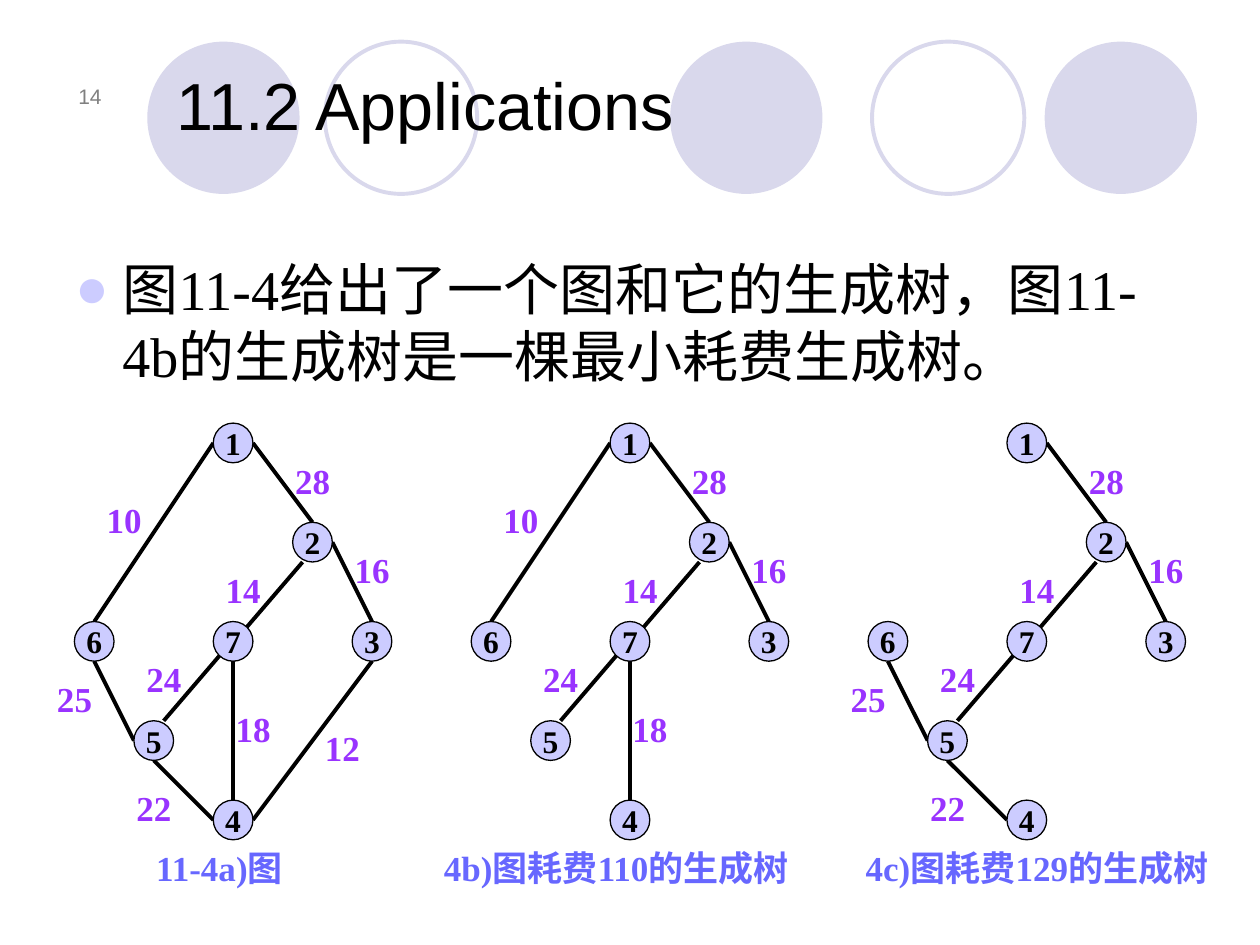
from dataclasses import dataclass
from typing import NamedTuple

from lxml import etree
from pptx import Presentation
from pptx.dml.color import RGBColor
from pptx.enum.shapes import MSO_CONNECTOR, MSO_SHAPE
from pptx.enum.text import MSO_ANCHOR, MSO_AUTO_SIZE, PP_ALIGN
from pptx.oxml.ns import qn
from pptx.slide import Slide
from pptx.text.text import TextFrame
from pptx.util import Cm, Pt

OVAL = MSO_SHAPE.OVAL
STRAIGHT = MSO_CONNECTOR.STRAIGHT
TOP, MIDDLE, BOTTOM = MSO_ANCHOR.TOP, MSO_ANCHOR.MIDDLE, MSO_ANCHOR.BOTTOM
LEFT, CENTER, RIGHT = PP_ALIGN.LEFT, PP_ALIGN.CENTER, PP_ALIGN.RIGHT
GROW = MSO_AUTO_SIZE.SHAPE_TO_FIT_TEXT


class TextStyle(NamedTuple):
    size: float
    font: str
    color: str
    bold: bool = False


@dataclass(frozen=True)
class Theme:
    ring: str = "D9D8EC"
    node_fill: str = "CCCCFF"
    ink: str = "000000"
    outline: float = 0.75
    stroke: float = 2.25
    number: TextStyle = TextStyle(12, "Arial", "808080")
    title: TextStyle = TextStyle(38, "Arial", "000000")
    body: TextStyle = TextStyle(32, "Times New Roman", "000000")
    node: TextStyle = TextStyle(18, "Times New Roman", "000000", True)
    weight: TextStyle = TextStyle(20, "Times New Roman", "9933FF", True)
    caption: TextStyle = TextStyle(20, "Times New Roman", "6767FF", True)


class Point(NamedTuple):
    x: float
    y: float


class Box(NamedTuple):
    left: float
    top: float
    width: float
    height: float


class Circle(NamedTuple):
    left: float
    filled: bool


class Edge(NamedTuple):
    start: int
    start_at: Point
    end: int
    end_at: Point
    label_at: Point


class Graph(NamedTuple):
    weights: tuple[int, ...]
    caption: str
    caption_left: float
    caption_width: float


THEME = Theme()
CIRCLE_TOP, CIRCLE_SIZE = 0.84, 3.07
NODE_SIZE, GRAPH_STEP = 0.8, 8.0
LABEL_WIDTH, LABEL_HEIGHT, CAPTION_TOP = 1.4, 1.1, 16.93
INDENT = 0.95

CIRCLES = (
    Circle(2.97, True), Circle(6.55, False), Circle(13.51, True),
    Circle(17.58, False), Circle(21.06, True),
)
NODES = {
    1: Point(4.3, 8.53), 2: Point(5.9, 10.53), 3: Point(7.1, 12.53),
    4: Point(4.3, 16.13), 5: Point(2.7, 14.53), 6: Point(1.5, 12.53),
    7: Point(4.3, 12.53),
}
NORTH, WEST, SOUTH, EAST = Point(0.5, 0), Point(0, 0.5), Point(0.5, 1), Point(1, 0.5)
EDGES = {
    10: Edge(1, WEST, 6, NORTH, Point(1.9, 9.93)),
    28: Edge(1, EAST, 2, NORTH, Point(5.7, 9.13)),
    16: Edge(3, NORTH, 2, EAST, Point(6.9, 10.93)),
    14: Edge(7, Point(0.75, 0.25), 2, Point(0.25, 1), Point(4.3, 11.33)),
    24: Edge(5, Point(0.75, 0), 7, Point(0.25, 0.75), Point(2.7, 13.13)),
    18: Edge(7, SOUTH, 4, NORTH, Point(4.5, 14.13)),
    25: Edge(5, WEST, 6, SOUTH, Point(0.9, 13.53)),
    22: Edge(4, WEST, 5, SOUTH, Point(2.5, 15.73)),
    12: Edge(4, EAST, 3, SOUTH, Point(6.3, 14.53)),
}
GRAPHS = (
    Graph(tuple(EDGES), "11-4a)图", 2.9, 3.6),
    Graph((10, 28, 16, 14, 24, 18), "4b)图耗费110的生成树", 8.7, 8.2),
    Graph((28, 16, 14, 24, 25, 22), "4c)图耗费129的生成树", 17.2, 8.2),
)


def rgb(color: str) -> RGBColor:
    return RGBColor.from_string(color)


def write(frame: TextFrame, text: str, style: TextStyle, align: PP_ALIGN) -> None:
    paragraph = frame.paragraphs[0]
    paragraph.alignment = align
    run = paragraph.add_run()
    run.text = text
    run.font.size = Pt(style.size)
    run.font.name = style.font
    run.font.bold = style.bold
    run.font.color.rgb = rgb(style.color)


def add_text(slide: Slide, box: Box, text: str, style: TextStyle,
             align: PP_ALIGN = LEFT, anchor: MSO_ANCHOR = TOP) -> TextFrame:
    frame = slide.shapes.add_textbox(*map(Cm, box)).text_frame
    frame.word_wrap = True
    frame.vertical_anchor = anchor
    write(frame, text, style, align)
    return frame


def add_label(slide: Slide, box: Box, text: str, style: TextStyle) -> None:
    add_text(slide, box, text, style).auto_size = GROW


def add_circle(slide: Slide, circle: Circle) -> None:
    disc = slide.shapes.add_shape(
        OVAL, Cm(circle.left), Cm(CIRCLE_TOP), Cm(CIRCLE_SIZE), Cm(CIRCLE_SIZE))
    disc.shadow.inherit = False
    if circle.filled:
        disc.fill.solid()
        disc.fill.fore_color.rgb = rgb(THEME.ring)
        disc.line.fill.background()
    else:
        disc.fill.background()
        disc.line.color.rgb = rgb(THEME.ring)
        disc.line.width = Pt(THEME.stroke)


def add_node(slide: Slide, number: int, shift: float) -> None:
    corner = NODES[number]
    node = slide.shapes.add_shape(
        OVAL, Cm(corner.x + shift), Cm(corner.y), Cm(NODE_SIZE), Cm(NODE_SIZE))
    node.shadow.inherit = False
    node.fill.solid()
    node.fill.fore_color.rgb = rgb(THEME.node_fill)
    node.line.color.rgb = rgb(THEME.ink)
    node.line.width = Pt(THEME.outline)
    node.text_frame.word_wrap = False
    node.text_frame.vertical_anchor = MIDDLE
    write(node.text_frame, str(number), THEME.node, CENTER)


def add_edge(slide: Slide, edge: Edge, shift: float) -> None:
    ends = []
    for number, at in ((edge.start, edge.start_at), (edge.end, edge.end_at)):
        ends += [Cm(NODES[number].x + at.x * NODE_SIZE + shift),
                 Cm(NODES[number].y + at.y * NODE_SIZE)]
    link = slide.shapes.add_connector(STRAIGHT, *ends)
    link.line.color.rgb = rgb(THEME.ink)
    link.line.width = Pt(THEME.stroke)
    etree.SubElement(link.element.spPr, qn("a:effectLst"))


def add_graph(slide: Slide, graph: Graph, shift: float) -> None:
    for weight in graph.weights:
        add_edge(slide, EDGES[weight], shift)
    for number in NODES:
        add_node(slide, number, shift)
    for weight in graph.weights:
        spot = EDGES[weight].label_at
        add_label(slide, Box(spot.x + shift, spot.y, LABEL_WIDTH, LABEL_HEIGHT),
                  str(weight), THEME.weight)
    add_label(slide, Box(graph.caption_left, CAPTION_TOP, graph.caption_width, LABEL_HEIGHT),
              graph.caption, THEME.caption)


def add_bullet(frame: TextFrame) -> None:
    properties = frame.paragraphs[0]._p.get_or_add_pPr()
    properties.set("marL", str(Cm(INDENT)))
    properties.set("indent", str(-Cm(INDENT)))
    color = etree.SubElement(properties, qn("a:buClr"))
    etree.SubElement(color, qn("a:srgbClr"), val=THEME.node_fill)
    etree.SubElement(properties, qn("a:buFont"), typeface="Arial")
    etree.SubElement(properties, qn("a:buChar"), char="●")


def main() -> None:
    deck = Presentation()
    deck.slide_width, deck.slide_height = Cm(25.4), Cm(19.05)
    slide = deck.slides.add_slide(deck.slide_layouts[6])
    for circle in CIRCLES:
        add_circle(slide, circle)
    add_text(slide, Box(0.9, 1.12, 1.4, 1.2), "14", THEME.number, RIGHT, BOTTOM)
    add_text(slide, Box(3.3, 1.12, 21.82, 1.9), "11.2 Applications", THEME.title, LEFT, BOTTOM)
    add_bullet(add_text(slide, Box(1.27, 5, 22.86, 2.92),
                        "图11-4给出了一个图和它的生成树，图11-4b的生成树是一棵最小耗费生成树。",
                        THEME.body))
    for position, graph in enumerate(GRAPHS):
        add_graph(slide, graph, position * GRAPH_STEP)
    deck.save("out.pptx")


if __name__ == "__main__":
    main()
